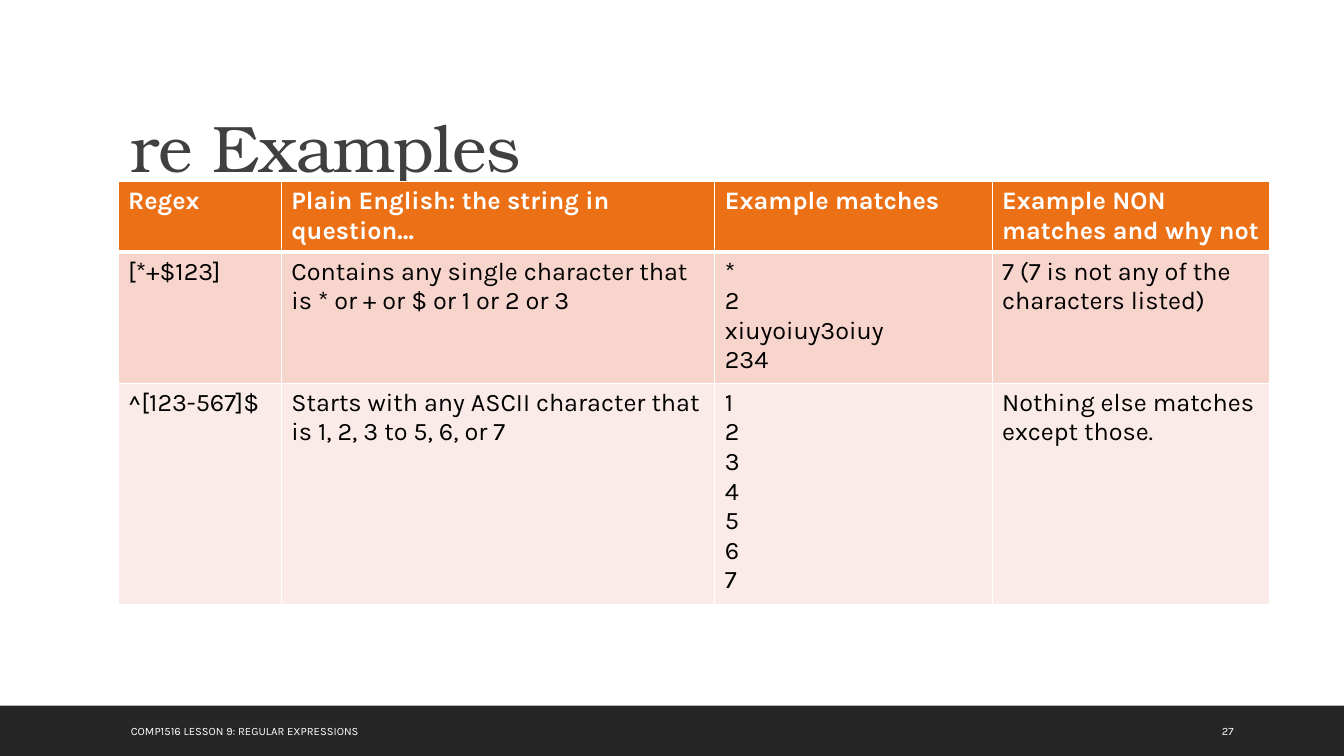
from dataclasses import dataclass

from lxml import etree
from pptx import Presentation
from pptx.dml.color import RGBColor
from pptx.enum.shapes import MSO_SHAPE
from pptx.enum.text import MSO_ANCHOR
from pptx.oxml.ns import qn
from pptx.util import Inches, Pt

RECTANGLE = MSO_SHAPE.RECTANGLE
MIDDLE, BOTTOM = MSO_ANCHOR.MIDDLE, MSO_ANCHOR.BOTTOM


@dataclass(frozen=True)
class Theme:
    """Colours, fonts and type sizes of the slide."""
    white: str = "FFFFFF"
    black: str = "000000"
    title: str = "404040"
    footer: str = "262626"
    header_fill: str = "EC7016"
    row_fills: tuple = ("F8D5CC", "FBEBE8")
    title_font: str = "TeX Gyre Bonum"
    body_font: str = "Karla"
    title_size: int = 47
    table_size: int = 18
    footer_size: int = 8


THEME = Theme()
COLUMN_WIDTHS = (1.62, 4.3, 2.75, 2.75)
ROW_HEIGHTS = (0.69, 1.27, 2.15)
ROWS = (
    ("Regex", "Plain English: the string in question…", "Example matches",
     "Example NON matches and why not"),
    ("[*+$123]", "Contains any single character that is * or + or $ or 1 or 2 or 3",
     "*\n2\nxiuyoiuy3oiuy\n234", "7 (7 is not any of the characters listed)"),
    ("^[123-567]$", "Starts with any ASCII character that is 1, 2, 3 to 5, 6, or 7",
     "1\n2\n3\n4\n5\n6\n7", "Nothing else matches except those."),
)


def style_text(text_frame, font_name, size, color, bold=False):
    """Give every paragraph of a text frame the same font."""
    for paragraph in text_frame.paragraphs:
        font = paragraph.font
        font.name, font.size, font.bold = font_name, Pt(size), bold
        font.color.rgb = RGBColor.from_string(color)


def add_text(slide, box, text, anchor, font_name, size, color):
    """Add a wrapping text box and return its first paragraph."""
    text_frame = slide.shapes.add_textbox(*map(Inches, box)).text_frame
    text_frame.word_wrap = True
    text_frame.vertical_anchor = anchor
    text_frame.text = text
    style_text(text_frame, font_name, size, color)
    return text_frame.paragraphs[0]


def add_title(slide, box):
    """Add the tightly spaced title at the bottom of its box."""
    paragraph = add_text(slide, box, "re Examples", BOTTOM,
                         THEME.title_font, THEME.title_size, THEME.title)
    paragraph.line_spacing = 0.9
    paragraph.runs[0].font._element.set("spc", "-50")


def add_borders(cell, bottom_width):
    """Draw white borders around a table cell."""
    properties = cell._tc.get_or_add_tcPr()
    for side, width in (("L", 1), ("R", 1), ("T", 1), ("B", bottom_width)):
        line = etree.SubElement(properties, qn(f"a:ln{side}"), w=str(Pt(width)))
        fill = etree.SubElement(line, qn("a:solidFill"))
        etree.SubElement(fill, qn("a:srgbClr"), val=THEME.white)


def add_regex_table(slide, box):
    """Add the table of patterns with a header row and tinted body rows."""
    table = slide.shapes.add_table(len(ROWS), len(COLUMN_WIDTHS), *map(Inches, box)).table
    for column, width in zip(table.columns, COLUMN_WIDTHS):
        column.width = Inches(width)
    for row, height in zip(table.rows, ROW_HEIGHTS):
        row.height = Inches(height)
    for row_index, texts in enumerate(ROWS):
        is_header = row_index == 0
        fill = THEME.header_fill if is_header else THEME.row_fills[row_index - 1]
        color = THEME.white if is_header else THEME.black
        for column_index, text in enumerate(texts):
            cell = table.cell(row_index, column_index)
            cell.text = text
            style_text(cell.text_frame, THEME.body_font, THEME.table_size, color, is_header)
            add_borders(cell, 3 if is_header else 1)
            cell.fill.solid()
            cell.fill.fore_color.rgb = RGBColor.from_string(fill)


def add_footer(slide, box):
    """Add the dark footer band with the lesson name and page number."""
    left, top, _, height = box
    band = slide.shapes.add_shape(RECTANGLE, *map(Inches, box))
    band.shadow.inherit = False
    band.fill.solid()
    band.fill.fore_color.rgb = RGBColor.from_string(THEME.footer)
    band.line.fill.background()
    for offset, width, text in ((1.2, 7.46, "COMP1516 LESSON 9: REGULAR EXPRESSIONS"),
                                (12.02, 0.85, "27")):
        add_text(slide, (left + offset, top + 0.05, width, height - 0.1), text, MIDDLE,
                 THEME.body_font, THEME.footer_size, THEME.white)


def main():
    """Build and save the slide."""
    presentation = Presentation()
    presentation.slide_width, presentation.slide_height = Inches(13.33), Inches(7.5)
    slide = presentation.slides.add_slide(presentation.slide_layouts[6])
    add_footer(slide, (0, 7, 13.33, 0.5))
    add_title(slide, (1.2, 0.31, 11, 1.59))
    add_regex_table(slide, (1.17, 1.8, sum(COLUMN_WIDTHS), sum(ROW_HEIGHTS)))
    presentation.save("out.pptx")


if __name__ == "__main__":
    main()
